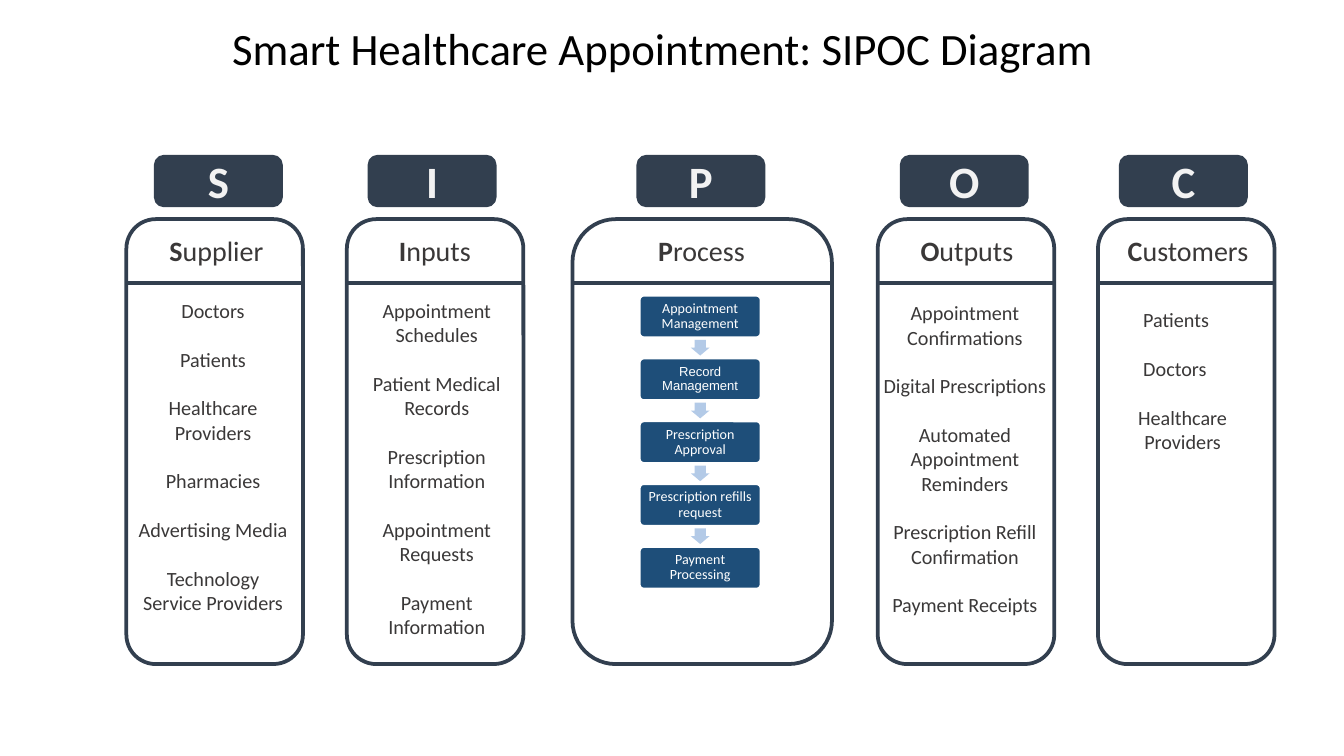
"""Build the SIPOC diagram slide for a smart healthcare appointment service."""
from dataclasses import dataclass
from typing import Optional

from pptx import Presentation
from pptx.dml.color import RGBColor
from pptx.enum.shapes import MSO_CONNECTOR, MSO_SHAPE
from pptx.enum.text import MSO_ANCHOR, PP_ALIGN
from pptx.oxml.ns import qn
from pptx.util import Pt
from lxml.etree import SubElement


@dataclass(frozen=True)
class Theme:
    frame: str = "323F4F"
    ink: str = "3A3838"
    title_ink: str = "000000"
    badge_ink: str = "F2F2F2"
    step: str = "1E4E79"
    arrow: str = "B3CAE7"
    white: str = "FFFFFF"
    font: str = "Calibri"
    title_size: float = 24
    badge_size: float = 24
    heading_size: float = 15
    body_size: float = 10.8
    step_size: float = 7.5
    line_width: float = 2


@dataclass(frozen=True)
class Box:
    left: float
    top: float
    width: float
    height: float

    def lengths(self) -> tuple:
        return Pt(self.left), Pt(self.top), Pt(self.width), Pt(self.height)


@dataclass(frozen=True)
class Column:
    name: str
    left: float
    badge_left: float
    heading_left: float
    heading_width: float
    width: float = 94.6
    body: Optional[Box] = None
    entries: tuple = ()
    indented: int = 0


@dataclass(frozen=True)
class Step:
    label: str
    font: str = "Calibri"
    size: float = 7.5


THEME = Theme()
PANEL_TOP, PANEL_HEIGHT, DIVIDER_TOP = 117.4, 238.4, 151.5
STEP_LEFT, STEP_TOP, STEP_PITCH = 342.7, 158.4, 33.66
ENTRY_GAP = 13.2
INDENT = 8.5

COLUMNS = (
    Column("Supplier", 67.7, 83.5, 85, 61.9, body=Box(67.7, 157, 92.9, 178.6),
           entries=("Doctors", "Patients", "Healthcare Providers", "Pharmacies",
                    "Advertising Media", "Technology Service Providers")),
    Column("Inputs", 185.8, 198, 208.1, 49.7, body=Box(183.6, 157, 100.8, 192.2),
           entries=("Appointment Schedules", "Patient Medical Records",
                    "Prescription Information", "Appointment Requests",
                    "Payment Information")),
    Column("Process", 306.7, 342, 330.5, 90.7, width=139),
    Column("Outputs", 470.2, 483.1, 487.4, 61.2, body=Box(465.8, 158.4, 102.2, 178.6),
           entries=("Appointment Confirmations", "Digital Prescriptions",
                    "Automated Appointment Reminders",
                    "Prescription Refill Confirmation", "Payment Receipts")),
    Column("Customers", 588.2, 600.5, 598.3, 76.3, body=Box(599, 162.2, 69.1, 166.3),
           entries=("Patients", "Doctors", "Healthcare Providers"), indented=2),
)

STEPS = (
    Step("Appointment Management"),
    Step("Record Management", "Arial", 7),
    Step("Prescription Approval"),
    Step("Prescription refills request"),
    Step("Payment Processing"),
)


def rgb(value: str) -> RGBColor:
    """Turn a hex string into a colour."""
    return RGBColor.from_string(value)


def add_run(paragraph, text: str, size: float, color: str,
            bold: bool = False, font: str = THEME.font) -> None:
    """Append one formatted run."""
    run = paragraph.add_run()
    run.text = text
    run.font.name = font
    run.font.size = Pt(size)
    run.font.bold = bold
    run.font.color.rgb = rgb(color)


def set_frame(frame, anchor, side: float = 5, edge: float = 2.7, wrap: bool = True) -> None:
    """Set the margins, anchor and wrapping of a text frame."""
    frame.margin_left = frame.margin_right = Pt(side)
    frame.margin_top = frame.margin_bottom = Pt(edge)
    frame.vertical_anchor = anchor
    frame.word_wrap = wrap


def add_preset(shapes, preset, box: Box, fill: Optional[str],
               line: Optional[str], line_width: float = THEME.line_width):
    """Add a flat preset shape."""
    shape = shapes.add_shape(preset, *box.lengths())
    shape.shadow.inherit = False
    if fill:
        shape.fill.solid()
        shape.fill.fore_color.rgb = rgb(fill)
    else:
        shape.fill.background()
    if line:
        shape.line.color.rgb = rgb(line)
        shape.line.width = Pt(line_width)
    else:
        shape.line.fill.background()
    return shape


def add_title(slide) -> None:
    """Place and fill the slide title."""
    title = slide.shapes.title
    title.left, title.top, title.width, title.height = Box(97.9, 11.5, 514.1, 31).lengths()
    set_frame(title.text_frame, MSO_ANCHOR.BOTTOM)
    paragraph = title.text_frame.paragraphs[0]
    paragraph.alignment = PP_ALIGN.CENTER
    paragraph.line_spacing = 0.8
    add_run(paragraph, "Smart Healthcare Appointment: SIPOC Diagram",
            THEME.title_size, THEME.title_ink)


def add_panel(shapes, column: Column) -> None:
    """Draw a column's outline, divider, heading and letter badge."""
    add_preset(shapes, MSO_SHAPE.ROUNDED_RECTANGLE,
               Box(column.left, PANEL_TOP, column.width, PANEL_HEIGHT), None, THEME.frame)
    divider = shapes.add_connector(
        MSO_CONNECTOR.STRAIGHT, Pt(column.left), Pt(DIVIDER_TOP),
        Pt(column.left + column.width), Pt(DIVIDER_TOP))
    divider.line.color.rgb = rgb(THEME.frame)
    divider.line.width = Pt(THEME.line_width)
    SubElement(divider._element.spPr, qn("a:effectLst"))

    heading = shapes.add_textbox(
        *Box(column.heading_left, 122.4, column.heading_width, 23.8).lengths()).text_frame
    set_frame(heading, MSO_ANCHOR.TOP, wrap=False)
    heading.paragraphs[0].alignment = PP_ALIGN.CENTER
    add_run(heading.paragraphs[0], column.name[0], THEME.heading_size, THEME.ink, bold=True)
    add_run(heading.paragraphs[0], column.name[1:], THEME.heading_size, THEME.ink)

    badge = add_preset(shapes, MSO_SHAPE.ROUNDED_RECTANGLE,
                       Box(column.badge_left, 84, 67, 26), THEME.frame, THEME.frame).text_frame
    set_frame(badge, MSO_ANCHOR.MIDDLE)
    badge.paragraphs[0].alignment = PP_ALIGN.CENTER
    add_run(badge.paragraphs[0], column.name[0], THEME.badge_size, THEME.badge_ink, bold=True)


def add_entries(shapes, column: Column) -> None:
    """Write a column's entries with even gaps."""
    frame = shapes.add_textbox(*column.body.lengths()).text_frame
    set_frame(frame, MSO_ANCHOR.TOP)
    for index, entry in enumerate(column.entries):
        paragraph = frame.add_paragraph() if index else frame.paragraphs[0]
        paragraph.space_before = Pt(ENTRY_GAP if index else 0)
        if index < column.indented:
            paragraph.alignment = PP_ALIGN.LEFT
            paragraph._p.get_or_add_pPr().set("marL", str(Pt(INDENT)))
        else:
            paragraph.alignment = PP_ALIGN.CENTER
        add_run(paragraph, entry, THEME.body_size, THEME.ink)


def add_process(shapes) -> None:
    """Draw the grouped chain of process steps."""
    chain = shapes.add_group_shape().shapes
    for index, step in enumerate(STEPS):
        top = STEP_TOP + index * STEP_PITCH
        card = add_preset(chain, MSO_SHAPE.ROUNDED_RECTANGLE,
                          Box(STEP_LEFT, top, 64.8, 22.3), THEME.step, THEME.white, 1)
        card.adjustments[0] = 0.1
        set_frame(card.text_frame, MSO_ANCHOR.MIDDLE, 2.5, 2.5)
        paragraph = card.text_frame.paragraphs[0]
        paragraph.alignment = PP_ALIGN.CENTER
        paragraph.line_spacing = 0.9
        add_run(paragraph, step.label, step.size, THEME.white, font=step.font)
        if index < len(STEPS) - 1:
            arrow = add_preset(chain, MSO_SHAPE.RIGHT_ARROW,
                               Box(STEP_LEFT + 28.2, top + 22.9, 8.4, 10), THEME.arrow, None)
            arrow.rotation = 90
            arrow.adjustments[0] = 0.6
            arrow.adjustments[1] = 0.5


def main() -> None:
    """Assemble and save the slide."""
    deck = Presentation()
    deck.slide_width, deck.slide_height = Pt(720), Pt(405)
    slide = deck.slides.add_slide(deck.slide_layouts[5])
    add_title(slide)
    for column in COLUMNS:
        add_panel(slide.shapes, column)
        if column.body:
            add_entries(slide.shapes, column)
    add_process(slide.shapes)
    deck.save("out.pptx")


if __name__ == "__main__":
    main()
